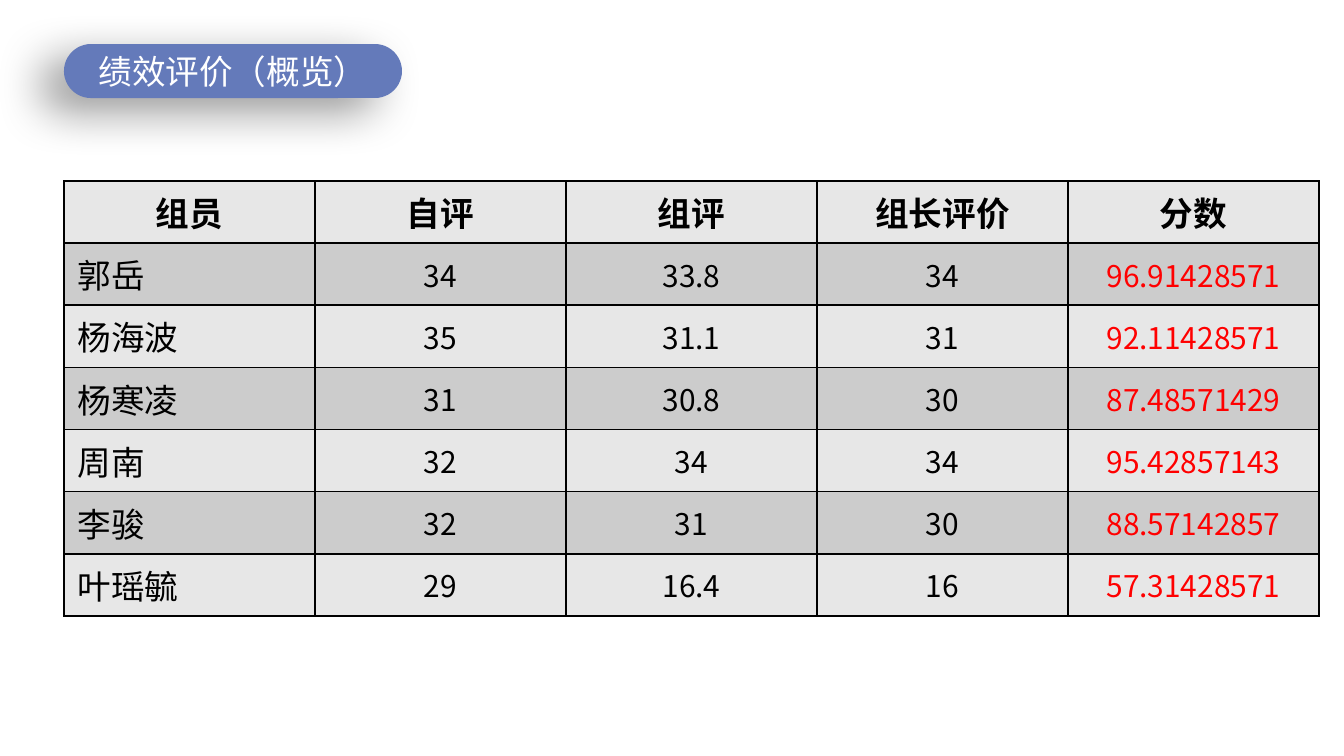
from lxml.etree import SubElement
from pptx import Presentation
from pptx.dml.color import RGBColor
from pptx.enum.shapes import MSO_SHAPE
from pptx.enum.text import MSO_ANCHOR, PP_ALIGN
from pptx.oxml.ns import qn
from pptx.util import Pt

SCALE = 914400 / 134.4  # EMU in one px

BLACK = RGBColor(0x00, 0x00, 0x00)
WHITE = RGBColor(0xFF, 0xFF, 0xFF)
RED = RGBColor(0xFF, 0x00, 0x00)
BLUE = RGBColor(0x64, 0x7A, 0xBA)
LIGHT_GREY = RGBColor(0xE7, 0xE7, 0xE7)
DARK_GREY = RGBColor(0xCC, 0xCC, 0xCC)

TITLE = {"name": "Calibri", "size": Pt(18), "bold": False}
HEADER = {"name": "Calibri", "size": Pt(18), "bold": True}
MEMBER = {"name": "Calibri", "size": Pt(18), "bold": False}
NUMBER = {"name": "Noto Sans CJK SC", "size": Pt(16), "bold": False}

SCORES = [
    ["组员", "自评", "组评", "组长评价", "分数"],
    ["郭岳", "34", "33.8", "34", "96.91428571"],
    ["杨海波", "35", "31.1", "31", "92.11428571"],
    ["杨寒凌", "31", "30.8", "30", "87.48571429"],
    ["周南", "32", "34", "34", "95.42857143"],
    ["李骏", "32", "31", "30", "88.57142857"],
    ["叶瑶毓", "29", "16.4", "16", "57.31428571"],
]


def px(length):
    return round(length * SCALE)


def write(frame, text, look, colour, align):
    para = frame.paragraphs[0]
    para.alignment = align
    span = para.add_run()
    span.text = text
    for key, value in look.items():
        setattr(span.font, key, value)
    span.font.color.rgb = colour


def add_shadow(box):
    effects = SubElement(box._element.spPr, qn("a:effectLst"))
    shadow = SubElement(effects, qn("a:outerShdw"), blurRad=str(Pt(25)),
                        dist=str(Pt(15)), dir=str(150 * 60000),
                        algn="tr", rotWithShape="0")
    colour = SubElement(shadow, qn("a:srgbClr"), val=str(BLACK))
    SubElement(colour, qn("a:alpha"), val="40000")


def add_title(page, text, left, top, width, height):
    box = page.shapes.add_shape(MSO_SHAPE.ROUNDED_RECTANGLE,
                                px(left), px(top), px(width), px(height))
    box.adjustments[0] = 0.5
    box.fill.solid()
    box.fill.fore_color.rgb = BLUE
    box.line.fill.background()
    add_shadow(box)
    box.text_frame.vertical_anchor = MSO_ANCHOR.MIDDLE
    write(box.text_frame, text, TITLE, WHITE, PP_ALIGN.CENTER)


def add_borders(cell):
    properties = cell._tc.get_or_add_tcPr()
    for place, side in enumerate(("a:lnL", "a:lnR", "a:lnT", "a:lnB")):
        line = SubElement(properties, qn(side), w=str(Pt(1)))
        fill = SubElement(line, qn("a:solidFill"))
        SubElement(fill, qn("a:srgbClr"), val=str(BLACK))
        properties.insert(place, line)  # borders come before the cell fill


def fill_cell(cell, text, row, column, last_column):
    cell.fill.solid()
    cell.fill.fore_color.rgb = DARK_GREY if row % 2 else LIGHT_GREY
    add_borders(cell)
    if row and column == 0:
        write(cell.text_frame, text, MEMBER, BLACK, PP_ALIGN.LEFT)
        return
    cell.vertical_anchor = MSO_ANCHOR.MIDDLE
    if row:
        for side in ("left", "top", "right", "bottom"):
            setattr(cell, f"margin_{side}", 0)
    colour = RED if row and column == last_column else BLACK
    write(cell.text_frame, text, NUMBER if row else HEADER, colour, PP_ALIGN.CENTER)


def add_score_table(page, scores, left, top, column_width, row_height):
    rows, columns = len(scores), len(scores[0])
    table = page.shapes.add_table(rows, columns, px(left), px(top),
                                  px(columns * column_width),
                                  px(rows * row_height)).table
    for column in table.columns:
        column.width = px(column_width)
    for row in table.rows:
        row.height = px(row_height)
    for row, texts in enumerate(scores):
        for column, text in enumerate(texts):
            fill_cell(table.cell(row, column), text, row, column, columns - 1)


def main():
    deck = Presentation()
    deck.slide_width, deck.slide_height = px(1344), px(756)
    page = deck.slides.add_slide(deck.slide_layouts[6])

    # Scores of the group members
    add_score_table(page, SCORES, 64, 181, 251, 56)

    # Section title
    add_title(page, "绩效评价（概览）", 64, 44, 338, 54)

    deck.save("out.pptx")


if __name__ == "__main__":
    main()
